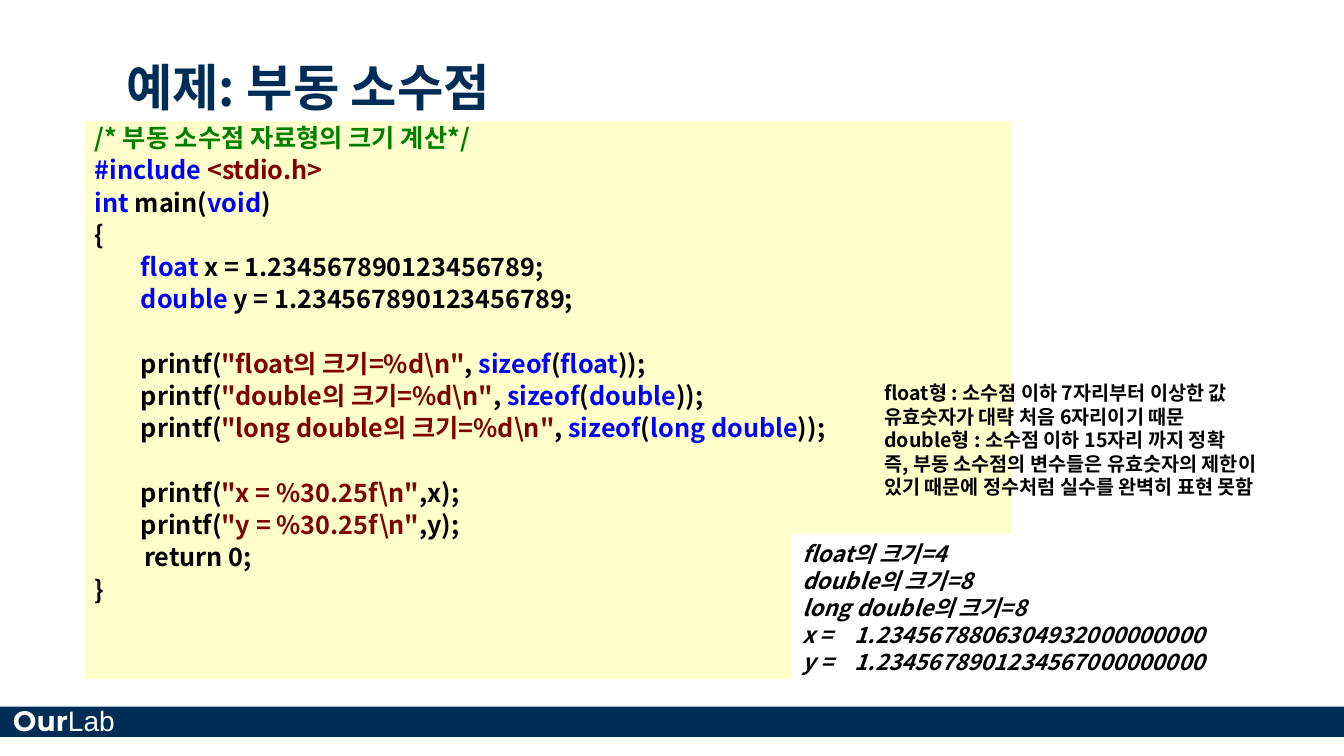
from lxml.etree import SubElement
from pptx import Presentation
from pptx.dml.color import RGBColor
from pptx.enum.shapes import MSO_SHAPE
from pptx.enum.text import MSO_ANCHOR, PP_ALIGN
from pptx.oxml.ns import qn
from pptx.util import Inches, Pt

KOREAN = "Noto Sans CJK KR"
NAVY, WHITE, BLACK, CREAM = "002D56", "FFFFFF", "000000", "FFFFCC"
COMMENT, KEYWORD, STRING = "008000", "0000FF", "800000"


def rgb(value):
    return RGBColor.from_string(value)


def add_text(p, text, size=18, color=BLACK, font=KOREAN, bold=True, italic=False):
    r = p.add_run()
    r.text = text
    r.font.size, r.font.name = Pt(size), font
    r.font.bold, r.font.italic = bold, italic
    r.font.color.rgb = rgb(color)
    SubElement(r.font._element, qn("a:ea")).set("typeface", font)


def paragraphs(tf, lines):
    """Yield a left-aligned paragraph with each line."""
    for i, line in enumerate(lines):
        p = tf.add_paragraph() if i else tf.paragraphs[0]
        p.alignment = PP_ALIGN.LEFT
        yield p, line


def add_panel(s, box, fill, anchor=MSO_ANCHOR.TOP):
    sp = s.shapes.add_shape(MSO_SHAPE.RECTANGLE, *map(Inches, box))
    sp.shadow.inherit = False
    sp.fill.solid()
    sp.fill.fore_color.rgb = rgb(fill)
    sp.line.fill.background()
    sp.text_frame.vertical_anchor = anchor
    return sp.text_frame


def add_label(s, box, wrap=True):
    tf = s.shapes.add_textbox(*map(Inches, box)).text_frame
    tf.word_wrap = wrap
    return tf


def add_footer(s, box):
    left, top, width, height = box
    add_panel(s, box, NAVY)
    p = add_label(s, (left + 0.03, top - 0.08, 1.52, 0.44), wrap=False).paragraphs[0]
    add_text(p, "Our", size=20, color=WHITE, font="Montserrat")
    add_text(p, "Lab", size=20, color=WHITE, font="Arial", bold=False)


def add_title(s, box, text):
    sp = s.shapes.title
    sp.left, sp.top, sp.width, sp.height = map(Inches, box)
    tf = sp.text_frame
    tf.vertical_anchor = MSO_ANCHOR.BOTTOM
    for p, line in paragraphs(tf, [text]):
        add_text(p, line, size=36, color=NAVY)


def add_code(s, box, lines):
    """Each line is (indent, lines skipped before it, coloured pieces)."""
    tf = add_panel(s, box, CREAM)
    for p, (indent, skipped, pieces) in paragraphs(tf, lines):
        p.line_spacing = 0.9
        p.space_before = Pt(3.6 + 23 * skipped)
        p._p.get_or_add_pPr().set("marL", str(Inches(indent)))
        for text, color in pieces:
            add_text(p, text, color=color)


def add_output(s, box, lines):
    tf = add_panel(s, box, WHITE, MSO_ANCHOR.MIDDLE)
    for p, line in paragraphs(tf, lines):
        tabs = SubElement(p._p.get_or_add_pPr(), qn("a:tabLst"))
        tab = SubElement(tabs, qn("a:tab"))
        tab.set("pos", str(Inches(0.52)))
        tab.set("algn", "l")
        add_text(p, line, size=16, italic=True)


def add_notes(s, box, lines):
    for p, line in paragraphs(add_label(s, box), lines):
        for i, part in enumerate(line.split("\n")):
            if i:
                p.add_line_break()
            add_text(p, part, size=14)


def declaration(kind, name):
    return 0.46, 0, [(kind, KEYWORD), (f" {name} = 1.234567890123456789;", BLACK)]


def print_size(kind, skipped=0):
    return 0.46, skipped, [
        ("printf(", BLACK), (f'"{kind}의 크기=%d\\n"', STRING), (", ", BLACK),
        ("sizeof", KEYWORD), ("(", BLACK), (kind, KEYWORD), ("));", BLACK)]


def print_value(name, skipped=0):
    return 0.46, skipped, [
        ("printf(", BLACK), (f'"{name} = %30.25f\\n"', STRING), (f",{name});", BLACK)]


def main():
    prs = Presentation()
    prs.slide_width, prs.slide_height = Inches(13.33), Inches(7.5)
    s = prs.slides.add_slide(prs.slide_layouts[5])

    # Footer band and title
    add_footer(s, (0, 7.01, 13.33, 0.3))
    add_title(s, (1.15, 0.13, 10.42, 1.08), "예제: 부동 소수점")

    # Program listing
    add_code(s, (0.84, 1.2, 9.19, 5.54), [
        (0, 0, [("/* 부동 소수점 자료형의 크기 계산*/", COMMENT)]),
        (0, 0, [("#include ", KEYWORD), ("<stdio.h>", STRING)]),
        (0, 0, [("int", KEYWORD), (" main(", BLACK), ("void", KEYWORD), (")", BLACK)]),
        (0, 0, [("{", BLACK)]),
        declaration("float", "x"),
        declaration("double", "y"),
        print_size("float", skipped=1),
        print_size("double"),
        print_size("long double"),
        print_value("x", skipped=1),
        print_value("y"),
        (0.49, 0, [("return 0;", BLACK)]),
        (0, 0, [("}", BLACK)]),
    ])

    # Program output
    add_output(s, (7.86, 5.3, 5.33, 1.45), [
        "float의 크기=4",
        "double의 크기=8",
        "long double의 크기=8",
        "x =\t1.2345678806304932000000000",
        "y =\t1.2345678901234567000000000",
    ])

    # Explanation of the precision
    add_notes(s, (8.67, 3.73, 4.25, 1.51), [
        "float형 : 소수점 이하 7자리부터 이상한 값\n유효숫자가 대략 처음 6자리이기 때문",
        "double형 : 소수점 이하 15자리 까지 정확",
        "즉, 부동 소수점의 변수들은 유효숫자의 제한이 있기 때문에 "
        "정수처럼 실수를 완벽히 표현 못함",
    ])
    prs.save("out.pptx")


if __name__ == "__main__":
    main()
